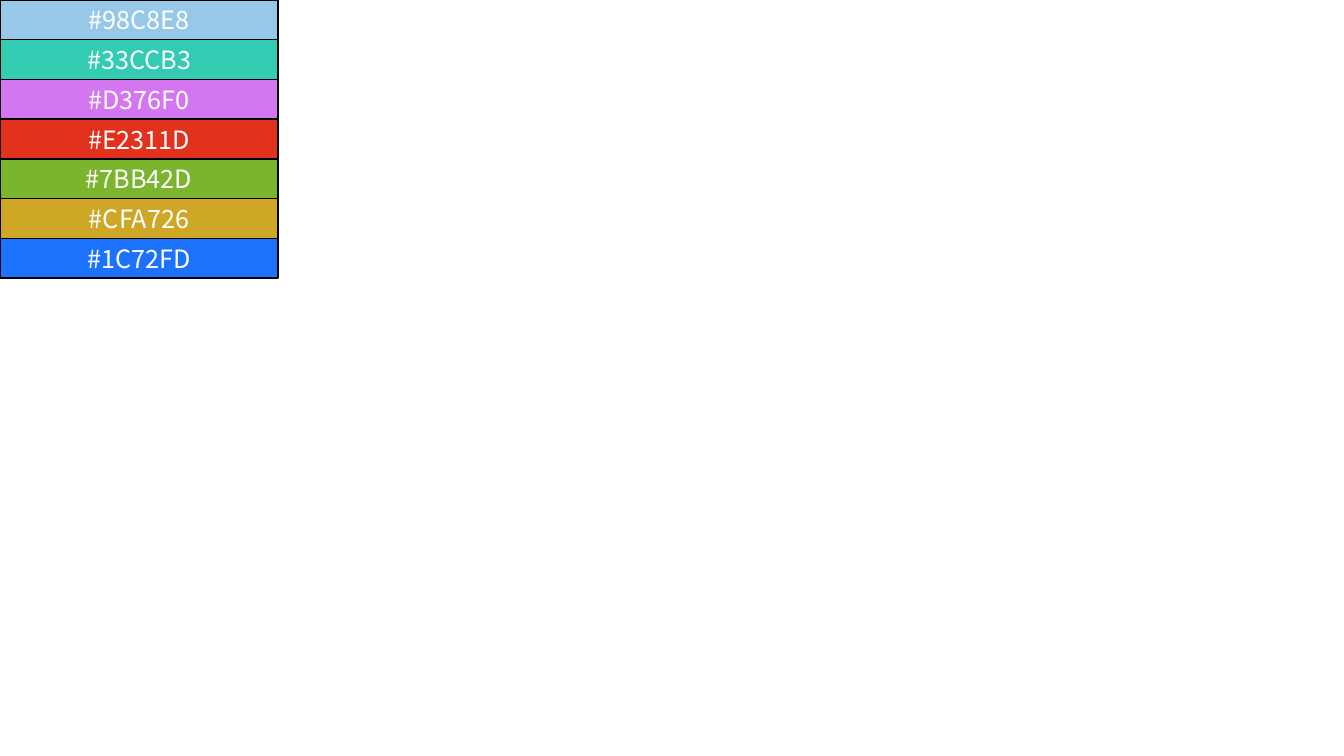
from dataclasses import dataclass

from pptx import Presentation
from pptx.dml.color import RGBColor
from pptx.enum.shapes import MSO_SHAPE
from pptx.enum.text import MSO_ANCHOR, PP_ALIGN
from pptx.shapes.shapetree import GroupShapes
from pptx.util import Inches, Pt

FONT = "Noto Sans CJK SC"
PALETTE = ["98C8E8", "33CCB3", "D376F0", "E2311D", "7BB42D", "CFA726", "1C72FD"]
PALETTE_SIZE = 2.76  # the stack of swatches is square
SWATCH_HEIGHT = PALETTE_SIZE / len(PALETTE)


@dataclass
class Swatch:
    """One palette colour and its distance from the top in inches."""

    color: str
    top: float


def rgb(color: str) -> RGBColor:
    """Turn a hex string into a colour."""
    return RGBColor.from_string(color)


def draw_swatch(shapes: GroupShapes, swatch: Swatch) -> None:
    """Draw a filled bar labelled with its own hex code."""
    sp = shapes.add_shape(MSO_SHAPE.RECTANGLE, Inches(0), Inches(swatch.top),
                          Inches(PALETTE_SIZE), Inches(SWATCH_HEIGHT))
    sp.shadow.inherit = False
    sp.fill.solid()
    sp.fill.fore_color.rgb = rgb(swatch.color)
    sp.line.color.rgb = rgb("000000")
    sp.line.width = Pt(1)
    tf = sp.text_frame
    tf.vertical_anchor = MSO_ANCHOR.MIDDLE
    p = tf.paragraphs[0]
    p.text = f"#{swatch.color}"
    p.alignment = PP_ALIGN.CENTER
    p.font.name = FONT
    p.font.size = Pt(18)
    p.font.color.rgb = rgb("FFFFFF")


prs = Presentation()
prs.slide_width, prs.slide_height = Inches(13.33), Inches(7.5)
s = prs.slides.add_slide(prs.slide_layouts[6])
palette = s.shapes.add_group_shape()
for i, color in enumerate(PALETTE):
    draw_swatch(palette.shapes, Swatch(color, i * SWATCH_HEIGHT))
prs.save("out.pptx")
